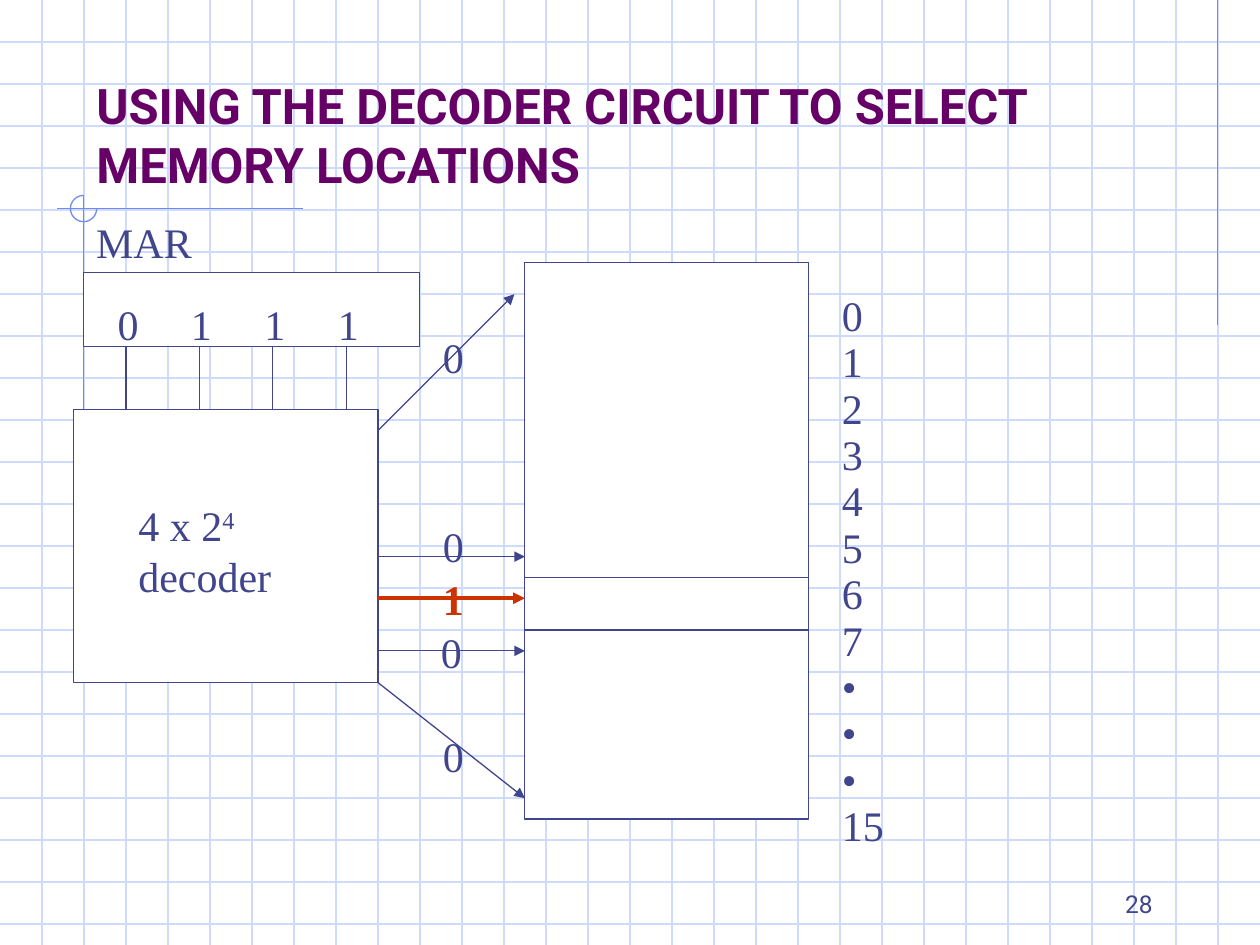
from dataclasses import dataclass

from lxml.etree import SubElement
from pptx import Presentation
from pptx.dml.color import RGBColor
from pptx.enum.shapes import MSO_CONNECTOR, MSO_SHAPE
from pptx.enum.text import MSO_ANCHOR, MSO_AUTO_SIZE, PP_ALIGN
from pptx.oxml.ns import qn
from pptx.slide import Slide
from pptx.util import Cm, Pt


def color(value):
    """Turn a hex string into a colour."""
    return RGBColor.from_string(value)


@dataclass
class DiagramSlide:
    """Hold the style and the current slide."""

    slide: Slide
    ink: str = "40458C"
    accent: str = "CC3300"
    grid: str = "CFDBFD"
    trim: str = "6F89F7"
    heading: str = "660066"
    paper: str = "FFFFFF"
    serif: str = "Times New Roman"
    sans: str = "Roboto"

    def format_runs(self, paragraph, font, size, hex_color, bold=False):
        """Give every run of a paragraph the same look."""
        for run in paragraph.runs:
            run.font.name = font
            run.font.size = Pt(size)
            run.font.bold = bold
            run.font.color.rgb = color(hex_color)

    def line(self, start, end, hex_color=None, width=0.75, arrow=False):
        """Draw a straight line, with an arrowhead at its end if asked."""
        connector = self.slide.shapes.add_connector(
            MSO_CONNECTOR.STRAIGHT, *[Cm(length) for length in (*start, *end)])
        connector.line.color.rgb = color(hex_color or self.ink)
        connector.line.width = Pt(width)
        if arrow:
            SubElement(connector.line._get_or_add_ln(), qn("a:tailEnd"), type="triangle")
        SubElement(connector._element.spPr, qn("a:effectLst"))

    def box(self, left, top, width, height):
        """Draw a paper-coloured rectangle."""
        shape = self.slide.shapes.add_shape(
            MSO_SHAPE.RECTANGLE, Cm(left), Cm(top), Cm(width), Cm(height))
        shape.shadow.inherit = False
        shape.fill.solid()
        shape.fill.fore_color.rgb = color(self.paper)
        shape.line.color.rgb = color(self.ink)
        shape.line.width = Pt(0.75)

    def arc(self, left, top, size):
        """Draw three quarters of a circle, open at the upper right."""
        shape = self.slide.shapes.add_shape(
            MSO_SHAPE.ARC, Cm(left), Cm(top), Cm(size), Cm(size))
        shape.adjustments[0] = 0
        shape.adjustments[1] = 162
        shape.shadow.inherit = False
        shape.fill.background()
        shape.line.color.rgb = color(self.trim)
        shape.line.width = Pt(0.75)

    def text(self, left, top, width, height, content, font=None, size=24,
             hex_color=None, bold=False, wrap=True):
        """Place a text box and return its text frame."""
        shape = self.slide.shapes.add_textbox(Cm(left), Cm(top), Cm(width), Cm(height))
        text_frame = shape.text_frame
        text_frame.word_wrap = wrap
        text_frame.text = content
        for paragraph in text_frame.paragraphs:
            self.format_runs(paragraph, font or self.serif, size, hex_color or self.ink, bold)
        return text_frame

    def title(self, content):
        """Fill the title placeholder and bring it in front of the grid."""
        shape = self.slide.shapes.title
        shape.left, shape.top, shape.width, shape.height = Cm(1.69), Cm(0.85), Cm(21.59), Cm(3.18)
        text_frame = shape.text_frame
        text_frame.text = content
        text_frame.auto_size = MSO_AUTO_SIZE.NONE
        text_frame.vertical_anchor = MSO_ANCHOR.BOTTOM
        paragraph = text_frame.paragraphs[0]
        paragraph.alignment = PP_ALIGN.LEFT
        self.format_runs(paragraph, self.sans, 28, self.heading, True)
        self.slide.shapes._spTree.append(shape._element)

    def background(self, width, height, columns=30):
        """Draw the square grid and the trim lines."""
        step = width / columns
        for row in range(1, int(height / step) + 1):
            self.line((0, row * step), (width, row * step), self.grid)
        for column in range(1, columns):
            self.line((column * step, 0), (column * step, height), self.grid)
        self.line((24.55, 0), (24.55, 6.55), self.trim)
        self.line((6.1, 4.2), (1.15, 4.2), self.trim)
        self.line((1.69, 3.94), (1.69, 10.39), self.trim)
        self.arc(1.42, 3.94, 0.53)

    def memory(self):
        """Draw the memory block, its selected cell and its addresses."""
        self.box(10.58, 5.29, 5.72, 11.22)
        for divider in (11.64, 12.7):
            self.line((10.58, divider), (16.3, divider))
        addresses = [*map(str, range(8)), *"•••", "15"]
        text_frame = self.text(16.72, 5.79, 2.11, 11.35, "\n".join(addresses))
        for paragraph in text_frame.paragraphs:
            paragraph.line_spacing = Pt(26.5)

    def register(self, bits, pitch=1.48):
        """Draw the address register with one lead for each bit."""
        for index in range(len(bits)):
            lead = 2.54 + index * pitch
            self.line((lead, 6.99), (lead, 8.47), arrow=True)
        self.box(1.69, 5.5, 6.77, 1.48)
        text_frame = self.text(2.12, 5.9, 6.14, 1.27, "\t".join(bits))
        properties = text_frame.paragraphs[0]._p.get_or_add_pPr()
        tabs = SubElement(properties, qn("a:tabLst"))
        for index in range(1, len(bits)):
            SubElement(tabs, qn("a:tab"), pos=str(Cm(index * pitch)), algn="l")
        self.text(1.69, 4.23, 2.75, 1.27, "MAR")

    def decoder(self):
        """Draw the decoder with its caption."""
        self.box(1.48, 8.26, 6.14, 5.5)
        paragraph = self.text(2.54, 9.95, 4.45, 2.29, "4 x 2").paragraphs[0]
        for part in ("4", " decoder"):
            paragraph.add_run().text = part
        self.format_runs(paragraph, self.serif, 24, self.ink)
        paragraph.runs[1].font._element.set("baseline", "30000")

    def output(self, start, end, label, value="0", selected=False):
        """Draw one decoder output with its value."""
        hex_color = self.accent if selected else self.ink
        self.line((7.62, start), end, hex_color, 2.25 if selected else 0.75, True)
        self.text(*label, 0.85, 1.27, value, hex_color=hex_color, bold=selected, wrap=False)


def main():
    """Build the slide and save it."""
    width, height = 25.4, 19.05
    presentation = Presentation()
    presentation.slide_width, presentation.slide_height = Cm(width), Cm(height)
    diagram = DiagramSlide(presentation.slides.add_slide(presentation.slide_layouts[5]))
    diagram.background(width, height)
    diagram.title("USING THE DECODER CIRCUIT TO SELECT MEMORY LOCATIONS")
    diagram.memory()
    diagram.register("0111")
    diagram.decoder()
    diagram.output(8.68, (10.37, 5.93), (8.68, 6.56))
    diagram.output(11.22, (10.58, 11.22), (8.68, 10.37))
    diagram.output(12.06, (10.58, 12.06), (8.68, 11.43), "1", selected=True)
    diagram.output(13.12, (10.58, 13.12), (8.64, 12.5))
    diagram.output(13.76, (10.58, 16.09), (8.68, 14.61))
    page_number = diagram.text(18.2, 17.36, 5.29, 1.27, "28", diagram.sans, 14)
    page_number.vertical_anchor = MSO_ANCHOR.BOTTOM
    page_number.paragraphs[0].alignment = PP_ALIGN.RIGHT
    presentation.save("out.pptx")


if __name__ == "__main__":
    main()
